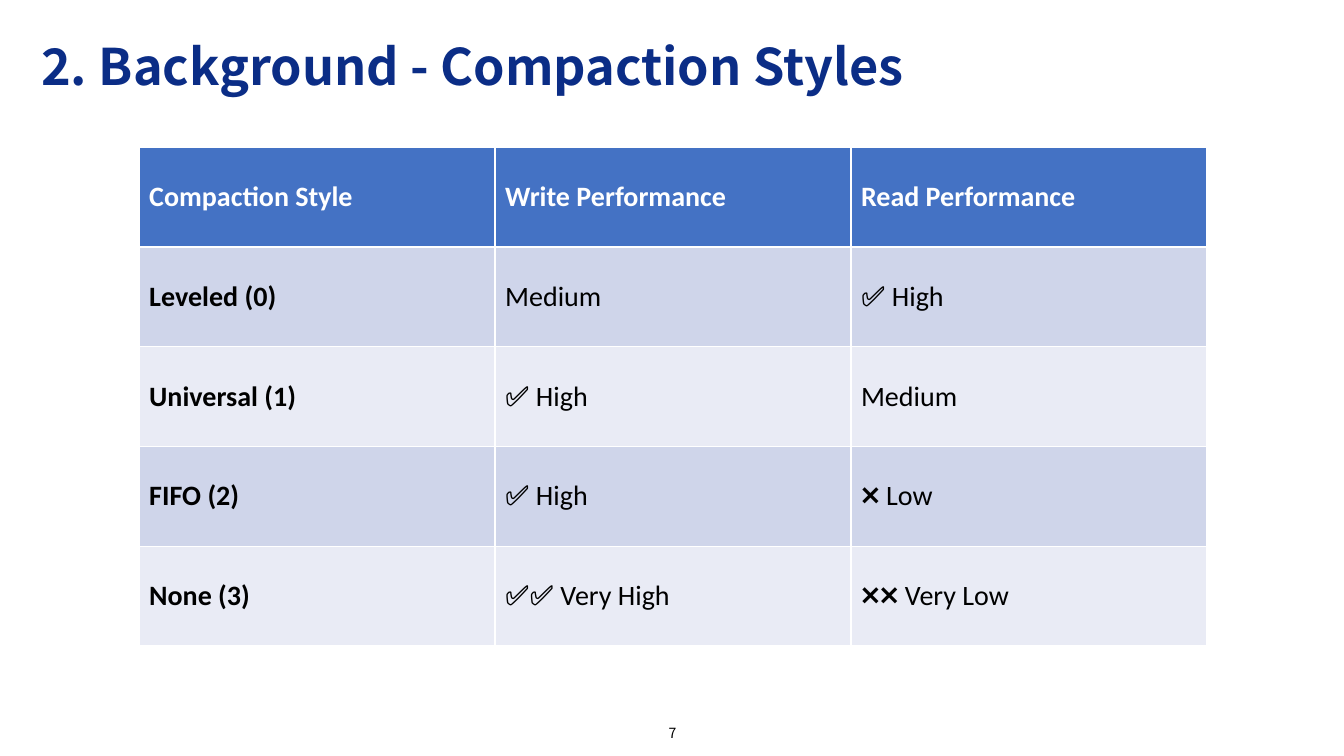
from pptx import Presentation
from pptx.dml.color import RGBColor
from pptx.enum.text import MSO_ANCHOR, PP_ALIGN
from pptx.util import Inches, Pt

HEADING_FONT = "Noto Sans CJK KR"
TABLE_FONT = "Calibri"
HEADER_FILL = "4472C4"
BAND_FILLS = ("CFD5EA", "E9EBF5")

COMPACTION_STYLES = [
    ("Compaction Style", "Write Performance", "Read Performance"),
    ("Leveled (0)", "Medium", "✅ High"),
    ("Universal (1)", "✅ High", "Medium"),
    ("FIFO (2)", "✅ High", "❌ Low"),
    ("None (3)", "✅✅ Very High", "❌❌ Very Low"),
]


def rgb(color):
    return RGBColor.from_string(color)


def format_runs(p, font, size, color, bold=False):
    for r in p.runs:
        r.font.name = font
        r.font.size = Pt(size)
        r.font.bold = bold
        r.font.color.rgb = rgb(color)


def add_text(slide, box, text, size, color, bold=False, align=PP_ALIGN.LEFT):
    sp = slide.shapes.add_textbox(*map(Inches, box))
    tf = sp.text_frame
    tf.word_wrap = True
    tf.vertical_anchor = MSO_ANCHOR.MIDDLE
    tf.text = text
    p = tf.paragraphs[0]
    p.alignment = align
    format_runs(p, HEADING_FONT, size, color, bold)
    return p


def add_banded_table(slide, left, top, col_width, row_height, rows):
    """Add a table with a header row; its default style draws the white rules."""
    n_rows, n_cols = len(rows), len(rows[0])
    table = slide.shapes.add_table(
        n_rows, n_cols, Inches(left), Inches(top),
        Inches(col_width * n_cols), Inches(row_height * n_rows)).table
    for column in table.columns:
        column.width = Inches(col_width)
    for i, row in enumerate(rows):
        table.rows[i].height = Inches(row_height)
        header = i == 0
        for j, text in enumerate(row):
            cell = table.cell(i, j)
            cell.fill.solid()
            cell.fill.fore_color.rgb = rgb(
                HEADER_FILL if header else BAND_FILLS[(i - 1) % 2])
            cell.vertical_anchor = MSO_ANCHOR.MIDDLE
            cell.text_frame.text = text
            format_runs(cell.text_frame.paragraphs[0], TABLE_FONT, 20,
                        "FFFFFF" if header else "000000",
                        bold=header or j == 0)


def main():
    prs = Presentation()
    prs.slide_width = Inches(13.33)
    prs.slide_height = Inches(7.5)
    slide = prs.slides.add_slide(prs.slide_layouts[6])

    title = add_text(slide, (0.31, 0.23, 12.65, 0.91),
                     "2. Background - Compaction Styles", 36, "0B2D86", bold=True)
    title.line_spacing = 0.9
    add_banded_table(slide, 1.38, 1.46, 3.53, 0.99, COMPACTION_STYLES)
    add_text(slide, (5.17, 7.11, 3, 0.32), "7", 10, "000000",
             align=PP_ALIGN.CENTER)

    prs.save("out.pptx")


if __name__ == "__main__":
    main()
